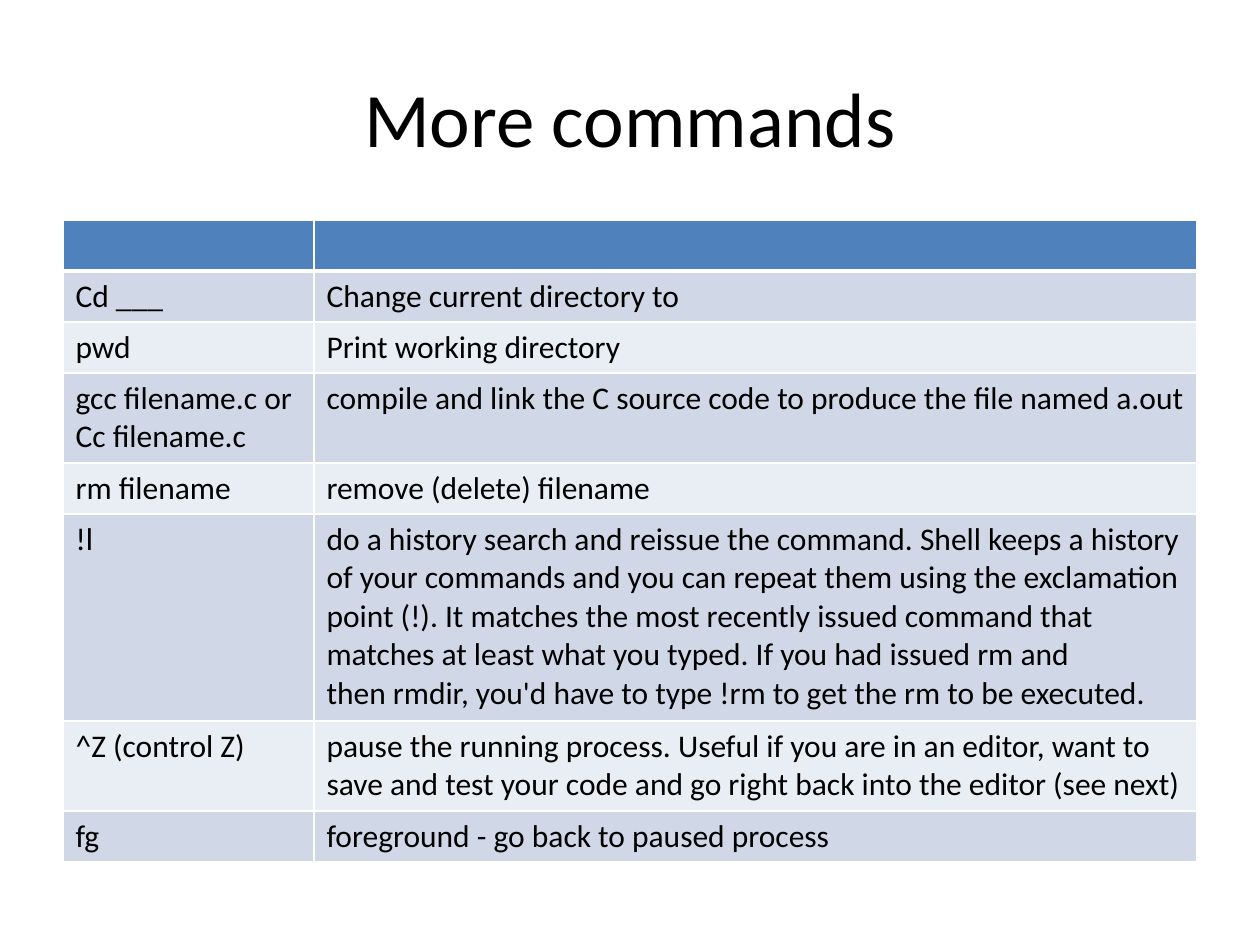
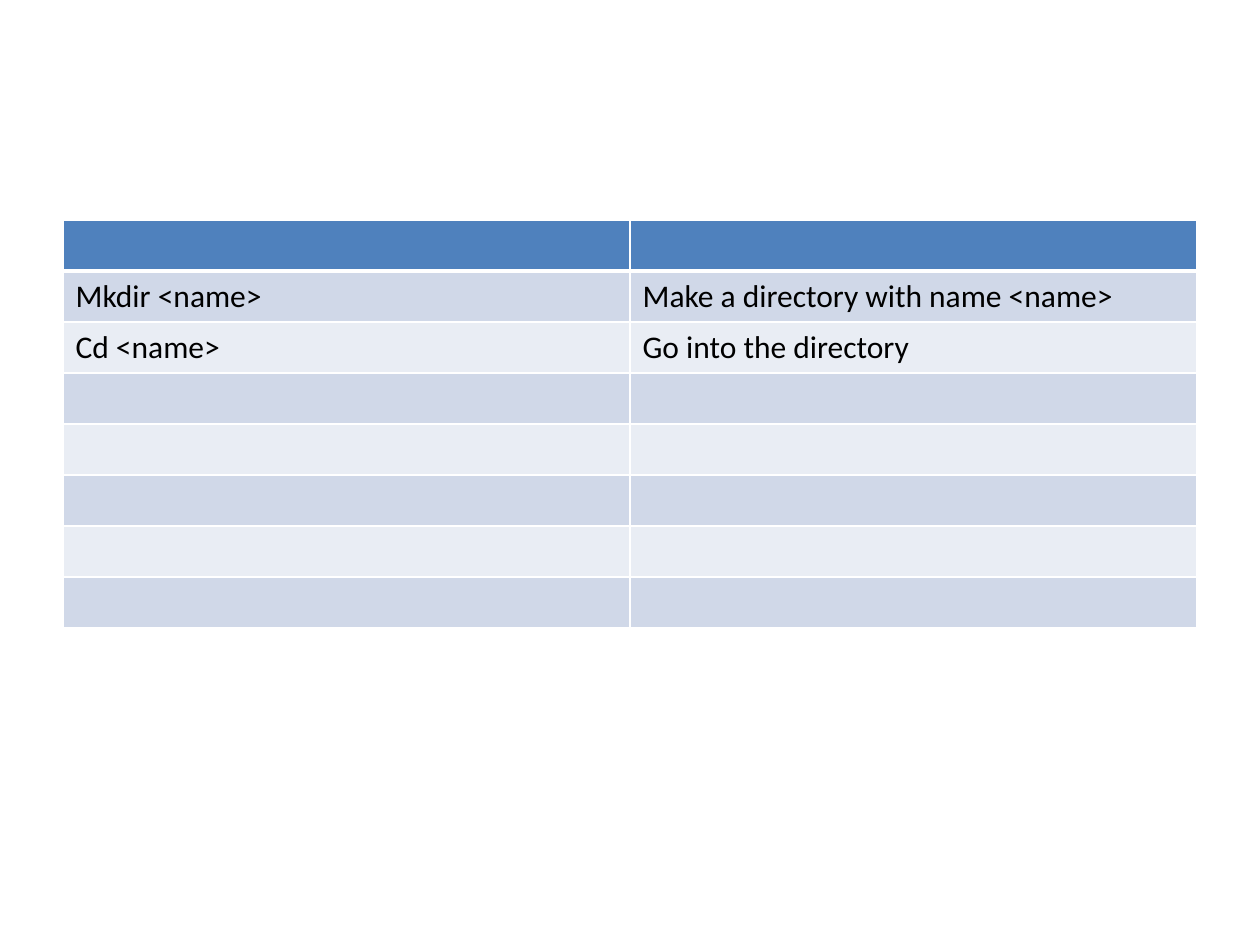
import pptx
import pptx.dml.color
import pptx.enum.text
import pptx.oxml
import pptx.oxml.ns
import pptx.util

RGBColor = pptx.dml.color.RGBColor

# Shared look
BLACK = RGBColor(0x00, 0x00, 0x00)
WHITE = RGBColor(0xFF, 0xFF, 0xFF)
HEADER_BLUE = RGBColor(0x4F, 0x81, 0xBD)
BANDS = (RGBColor(0xD0, 0xD8, 0xE8), RGBColor(0xE9, 0xED, 0xF4))
FONT = "Calibri"
PX_PER_INCH = 126

# Shared layout, in px
PAGE_WIDTH, PAGE_HEIGHT = 1260, 945
MARGIN = 63
CONTENT_WIDTH = PAGE_WIDTH - 2 * MARGIN
TITLE_TOP, TITLE_HEIGHT = 38, 157
TABLE_TOP, ROW_HEIGHT = 220, 51
EXTRA_LINE_HEIGHT = 39
ROW_COUNT = 8

NBSP = chr(160)  # keeps command names together with their neighbours

COMMANDS = [
    ("Cd ___", "Change current directory to"),
    ("pwd", "Print working directory"),
    (f"gcc{NBSP}filename.c or\nCc filename.c",
     "compile and link the C source code to produce the file "
     f"named{NBSP}a.out"),
    ("rm filename", "remove (delete) filename"),
    ("!l",
     "do a history search and reissue the command. Shell keeps a history of "
     "your commands and you can repeat them using the exclamation point (!). "
     "It matches the most recently issued command that matches at least what "
     f"you typed. If you had issued{NBSP}rm{NBSP}and then{NBSP}rmdir, you'd "
     f"have to type{NBSP}!rm{NBSP}to get the{NBSP}rm{NBSP}to be executed."),
    ("^Z (control Z)",
     "pause the running process. Useful if you are in an editor, want to save "
     "and test your code and go right back into the editor (see next)"),
    ("fg", "foreground - go back to paused process"),
]
COMMAND_LINES = {3: 2, 5: 5, 6: 2}  # table rows holding several lines
DIRECTORY_COMMANDS = [
    ("Mkdir <name>", "Make a directory with name <name>"),
    ("Cd <name>", "Go into the directory"),
]


def px(length):
    return pptx.util.Emu(round(length * 914400 / PX_PER_INCH))


def style_paragraph(para, size):
    para.font.name = FONT
    para.font.size = pptx.util.Pt(size)
    para.font.color.rgb = BLACK


def add_page(deck):
    page = deck.slides.add_slide(deck.slide_layouts[6])
    page.background.fill.solid()
    page.background.fill.fore_color.rgb = WHITE
    return page


def add_title(page, text):
    box = page.shapes.add_textbox(
        px(MARGIN), px(TITLE_TOP), px(CONTENT_WIDTH), px(TITLE_HEIGHT))
    frame = box.text_frame
    frame.word_wrap = True
    frame.vertical_anchor = pptx.enum.text.MSO_ANCHOR.MIDDLE
    frame.text = text
    para = frame.paragraphs[0]
    para.alignment = pptx.enum.text.PP_ALIGN.CENTER
    style_paragraph(para, 44)


def set_border(cell, side, points):
    namespace = pptx.oxml.ns.nsdecls("a")
    line = pptx.oxml.parse_xml(
        f'<a:ln{side} {namespace} w="{pptx.util.Pt(points)}">'
        f'<a:solidFill><a:srgbClr val="{WHITE}"/></a:solidFill></a:ln{side}>')
    cell._tc.get_or_add_tcPr().append(line)


def style_cell(cell, row_index):
    # The rule under the header is thicker than the other grid lines
    widths = {"L": 1, "R": 1,
              "T": 3 if row_index == 1 else 1,
              "B": 3 if row_index == 0 else 1}
    for side, points in widths.items():
        set_border(cell, side, points)
    cell.fill.solid()
    cell.fill.fore_color.rgb = (
        BANDS[(row_index - 1) % 2] if row_index else HEADER_BLUE)
    for para in cell.text_frame.paragraphs:
        style_paragraph(para, 18)


def add_command_table(page, commands, column_widths, line_counts):
    table = page.shapes.add_table(
        ROW_COUNT, len(column_widths), px(MARGIN), px(TABLE_TOP),
        px(CONTENT_WIDTH), px(ROW_COUNT * ROW_HEIGHT)).table
    for column, width in zip(table.columns, column_widths):
        column.width = px(width)
    # Text starts below the empty header row
    for row_index, texts in enumerate(commands, start=1):
        for column_index, text in enumerate(texts):
            table.cell(row_index, column_index).text = text
    for row_index, row in enumerate(table.rows):
        extra_lines = line_counts.get(row_index, 1) - 1
        row.height = px(ROW_HEIGHT + extra_lines * EXTRA_LINE_HEIGHT)
        for cell in row.cells:
            style_cell(cell, row_index)


def main():
    deck = pptx.Presentation()
    deck.slide_width = px(PAGE_WIDTH)
    deck.slide_height = px(PAGE_HEIGHT)

    # General commands
    page = add_page(deck)
    add_title(page, "More commands")
    name_width = 251
    add_command_table(page, COMMANDS,
                      (name_width, CONTENT_WIDTH - name_width), COMMAND_LINES)

    # Directory commands, with spare rows
    page = add_page(deck)
    add_command_table(page, DIRECTORY_COMMANDS, (CONTENT_WIDTH // 2,) * 2, {})

    deck.save("out.pptx")


if __name__ == "__main__":
    main()
